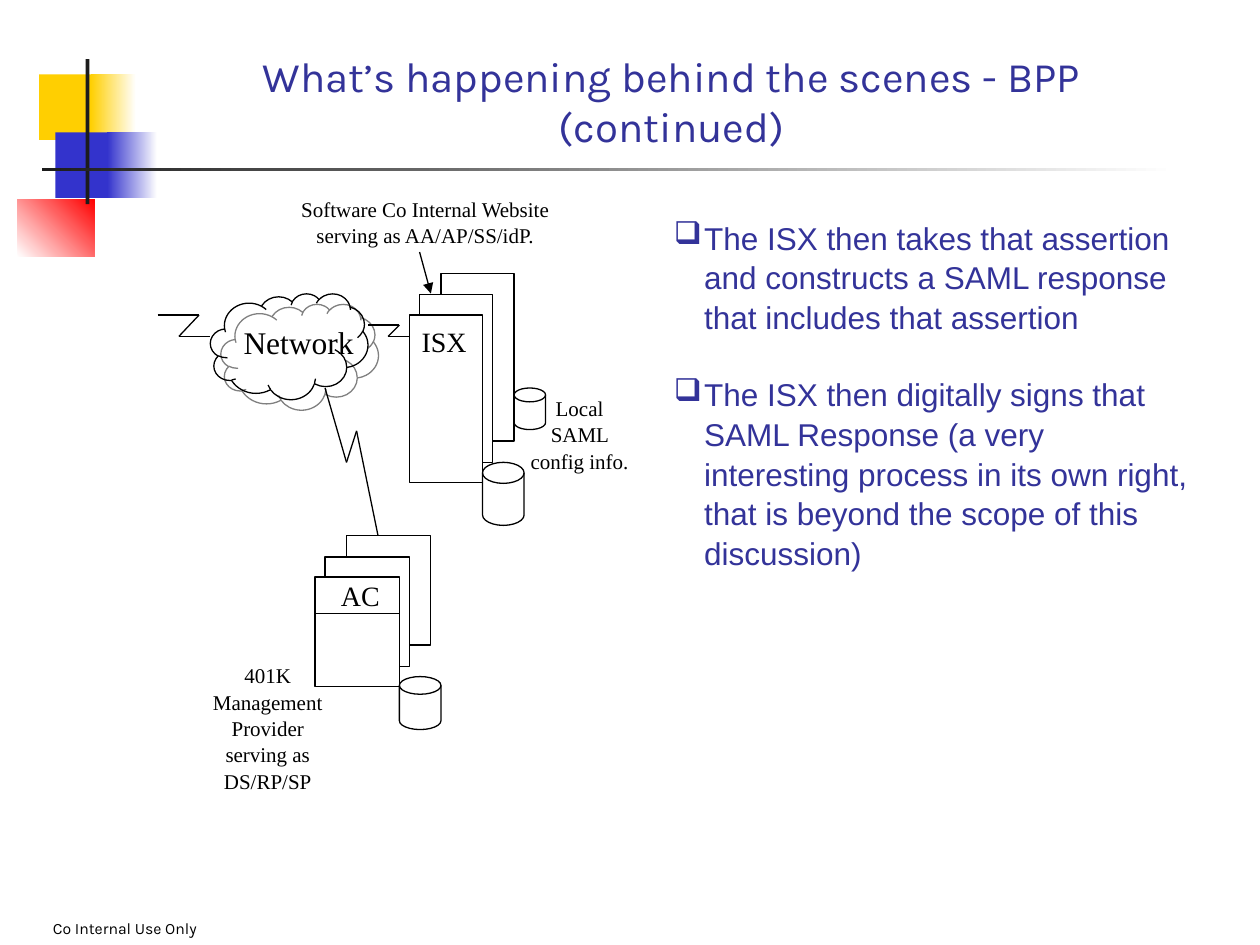
from lxml.etree import SubElement
from pptx import Presentation
from pptx.dml.color import RGBColor
from pptx.enum.shapes import MSO_CONNECTOR, MSO_SHAPE
from pptx.enum.text import MSO_ANCHOR, MSO_AUTO_SIZE, PP_ALIGN
from pptx.oxml.ns import qn
from pptx.util import Inches, Pt

BLACK = RGBColor(0x00, 0x00, 0x00)
WHITE = RGBColor(0xFF, 0xFF, 0xFF)
INK = RGBColor(0x1C, 0x1C, 0x1C)
YELLOW = RGBColor(0xFF, 0xCF, 0x01)
BLUE = RGBColor(0x33, 0x33, 0xCC)
RED = RGBColor(0xFF, 0x00, 0x00)
NAVY = RGBColor(0x33, 0x33, 0x99)
SERIF = "Times New Roman"
LINE_SPACING = 1.05

TITLE = "What’s happening behind the scenes - BPP (continued)"
FOOTER = "Co Internal Use Only"
BULLETS = [
    "The ISX then takes that assertion and constructs a SAML response "
    "that includes that assertion",
    "The ISX then digitally signs that SAML Response (a very interesting "
    "process in its own right, that is beyond the scope of this discussion)",
]

DECOR = [
    ((0.31, 0.59, 0.48, 0.52), (YELLOW,), 0),
    ((0.72, 0.59, 0.36, 0.52), (YELLOW, WHITE), 0),
    ((0.44, 1.05, 0.46, 0.52), (BLUE,), 0),
    ((0.85, 1.05, 0.40, 0.52), (BLUE, WHITE), 0),
    ((0.14, 1.58, 0.61, 0.46), (WHITE, RED), 45),
    ((0.68, 0.47, 0.03, 1.15), (INK,), 0),
    ((0.33, 1.33, 9, 0.03), (INK, WHITE), 0),
]

SERVER_STACKS = [
    ([(3.5, 2.17), (3.33, 2.34), (3.25, 2.5)], (0.58, 1.33)),
    ([(2.75, 4.25), (2.58, 4.42), (2.5, 4.58)], (0.67, 0.87)),
]
DISKS = [
    (4.08, 3.08, 0.25, 0.33),
    (3.83, 3.67, 0.33, 0.5),
    (3.17, 5.37, 0.33, 0.42),
]
CLOUD = (1.67, 2.33, 1.25, 0.84)

LINKS = [
    [(1.25, 2.5), (1.58, 2.5), (1.42, 2.67), (1.67, 2.67)],
    [(2.92, 2.58), (3.17, 2.58), (3.08, 2.67), (3.25, 2.67)],
    [(2.58, 3.08), (2.75, 3.67), (2.83, 3.42), (3, 4.25)],
    [(2.5, 4.87), (3.17, 4.87)],
]
POINTER = [(3.33, 2), (3.42, 2.33)]

LABELS = [
    ("Local SAML config info.", (4.08, 3.08, 1.04, 0.7), 12),
    ("Software Co Internal Website serving as AA/AP/SS/idP.",
     (2.25, 1.5, 2.25, 0.5), 12),
    ("Network", (1.58, 2.5, 1.58, 0.4), 18),
    ("ISX", (3.17, 2.51, 0.71, 0.37), 16),
    ("401K Management Provider serving as DS/RP/SP",
     (1.5, 5.2, 1.25, 1.1), 12),
    ("AC", (2.25, 4.53, 1.22, 0.37), 16),
]


def inches(values):
    return [Inches(value) for value in values]


def add_preset(page, kind, frame):
    shape = page.shapes.add_shape(kind, *inches(frame))
    shape.shadow.inherit = False
    shape.fill.background()
    shape.line.color.rgb = BLACK
    shape.line.width = Pt(0.75)
    return shape


def add_decor(page, frame, colours, angle):
    block = add_preset(page, MSO_SHAPE.RECTANGLE, frame)
    block.line.fill.background()
    if len(colours) == 1:
        block.fill.solid()
        block.fill.fore_color.rgb = colours[0]
        return
    block.fill.gradient()
    block.fill.gradient_angle = angle
    for stop, colour in zip(block.fill.gradient_stops, colours):
        stop.color.rgb = colour


def add_stack(page, corners, size):
    for index, corner in enumerate(corners):
        server = add_preset(page, MSO_SHAPE.RECTANGLE, corner + size)
        if index:
            server.fill.solid()
            server.fill.fore_color.rgb = WHITE


def add_cloud(page):
    cloud = add_preset(page, MSO_SHAPE.CLOUD, CLOUD)
    effects = cloud._element.spPr.find(qn("a:effectLst"))
    shadow = SubElement(effects, qn("a:outerShdw"), dist=str(Pt(8.5)),
                        dir="2700000", algn="ctr", rotWithShape="0")
    SubElement(shadow, qn("a:srgbClr"), val="808080")


def add_link(page, points):
    for start, end in zip(points, points[1:]):
        link = page.shapes.add_connector(
            MSO_CONNECTOR.STRAIGHT, *inches(start + end))
        link.line.color.rgb = BLACK
        link.line.width = Pt(0.75)
        SubElement(link._element.spPr, qn("a:effectLst"))
    return link


def add_span(para, text, font, size, colour):
    span = para.add_run()
    span.text = text
    span.font.name = font
    span.font.size = Pt(size)
    span.font.color.rgb = colour


def add_box(page, frame):
    box = page.shapes.add_textbox(*inches(frame))
    box.text_frame.word_wrap = True
    return box.text_frame


def add_bullet(para):
    properties = para._p.get_or_add_pPr()
    properties.set("marL", str(Inches(0.24)))
    properties.set("indent", str(-Inches(0.24)))
    colour = SubElement(properties, qn("a:buClr"))
    SubElement(colour, qn("a:srgbClr"), val=str(NAVY))
    SubElement(properties, qn("a:buChar"), char="❑")


def main():
    deck = Presentation()
    deck.slide_width, deck.slide_height = Inches(10), Inches(7.5)
    page = deck.slides.add_slide(deck.slide_layouts[5])

    title = page.shapes.title
    title.left, title.top, title.width, title.height = inches(
        (1.08, 0.83, 8.5, 0.42))
    title.text_frame.auto_size = MSO_AUTO_SIZE.NONE
    title.text_frame.vertical_anchor = MSO_ANCHOR.BOTTOM
    para = title.text_frame.paragraphs[0]
    para.alignment = PP_ALIGN.CENTER
    add_span(para, TITLE, "Karla", 24, NAVY)

    for frame, colours, angle in DECOR:
        add_decor(page, frame, colours, angle)

    footer = add_box(page, (0, 7, 3.17, 0.5))
    footer.vertical_anchor = MSO_ANCHOR.BOTTOM
    footer.margin_left, footer.margin_bottom = inches((0.42, 0.06))
    add_span(footer.paragraphs[0], FOOTER, "Karla", 9, BLACK)

    body = add_box(page, (5.25, 1.67, 4.33, 4.08))
    for index, text in enumerate(BULLETS):
        para = body.add_paragraph() if index else body.paragraphs[0]
        add_bullet(para)
        para.line_spacing = LINE_SPACING
        if index:
            para.space_before = Pt(21.6)
        add_span(para, text, "Arial", 18, NAVY)

    add_cloud(page)
    for corners, size in SERVER_STACKS:
        add_stack(page, corners, size)
    for frame in DISKS:
        add_preset(page, MSO_SHAPE.FLOWCHART_MAGNETIC_DISK, frame)
    for points in LINKS:
        add_link(page, points)
    pointer = add_link(page, POINTER)
    SubElement(pointer.line._get_or_add_ln(), qn("a:tailEnd"), type="triangle")

    for text, frame, size in LABELS:
        para = add_box(page, frame).paragraphs[0]
        para.alignment = PP_ALIGN.CENTER
        para.line_spacing = LINE_SPACING
        add_span(para, text, SERIF, size, BLACK)

    deck.save("out.pptx")


if __name__ == "__main__":
    main()
